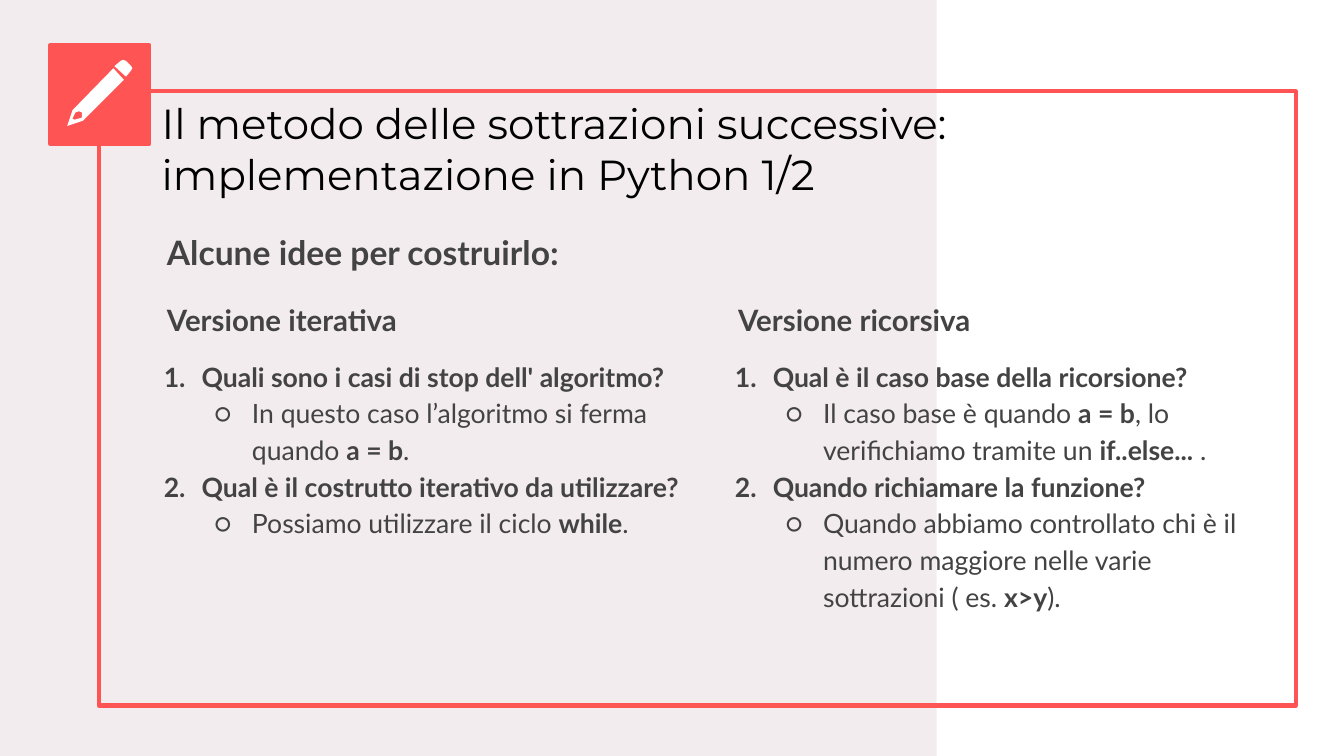
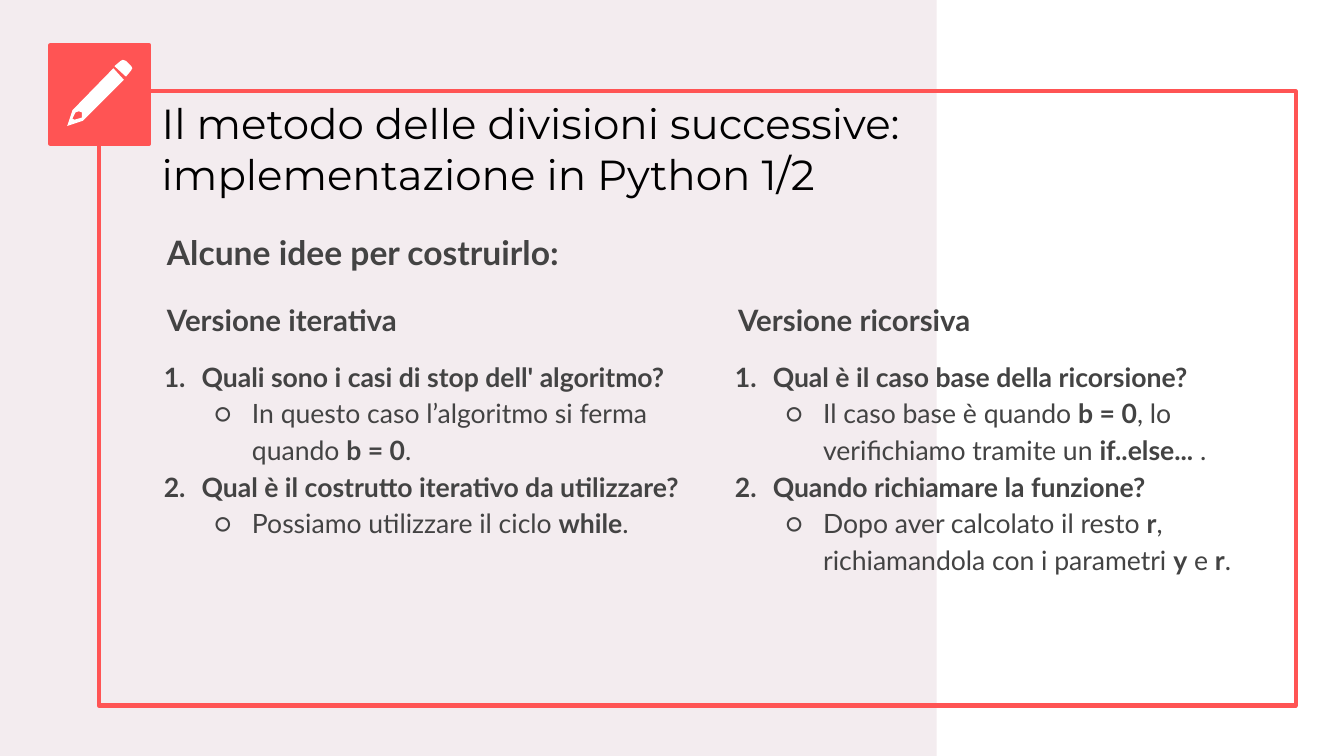
"""Build two slides on implementing the GCD methods in Python."""
from dataclasses import dataclass

from lxml import etree
from pptx import Presentation
from pptx import util as u
from pptx.dml.color import RGBColor
from pptx.enum import shapes, text
from pptx.oxml.ns import qn

PX = 9525


@dataclass(frozen=True)
class Theme:
    """Colours, fonts, type sizes and spacing shared by the slides."""

    white: str = "FFFFFF"
    panel: str = "F3ECEF"
    accent: str = "FF5454"
    title: str = "000000"
    body: str = "434343"
    title_font: str = "Montserrat"
    body_font: str = "Lato"
    title_pt: int = 30
    lead_pt: int = 24
    heading_pt: int = 21
    list_pt: int = 19
    line_pt: int = 3
    spacing: float = 1.15
    inset: int = 12


@dataclass(frozen=True)
class Box:
    """A rectangle in px."""

    x: int
    y: int
    w: int
    h: int

    def emu(self) -> list[int]:
        """Return left, top, width and height in EMU."""
        return [v * PX for v in (self.x, self.y, self.w, self.h)]


@dataclass(frozen=True)
class Step:
    """A numbered question and its answer, with bold parts between asterisks."""

    question: str
    answer: str


@dataclass(frozen=True)
class Column:
    """A headed list of steps."""

    heading: str
    steps: tuple[Step, ...]


@dataclass(frozen=True)
class Method:
    """The content of one slide."""

    title: str
    columns: tuple[Column, Column]


THEME = Theme()
PANEL = Box(0, 0, 892, 720)
FRAME = Box(94, 87, 1140, 585)
BADGE = Box(48, 43, 94, 94)
TITLE = Box(142, 94, 832, 94)
LEAD = Box(147, 203, 792, 76)
HEADING = Box(147, 271, 516, 76)
STEPS = Box(132, 327, 546, 322)
COLUMN_PITCH = 544
MARGINS = (48, 96)
HANGING = -36

PENCIL_BODY = [(108, 65), (69, 105), (64, 120), (79, 115), (118, 76)]
PENCIL_TIP = [(75, 106), (78, 107), (78, 112), (71, 114), (69, 113), (72, 107)]
PENCIL_CAP = [(117, 57), (115, 58), (109, 63), (120, 73),
              (125, 67), (126, 65), (125, 63), (120, 58)]


def method(name: str, stop: str, recursion: str) -> Method:
    """Describe a method by its name, stop condition and recursive call."""
    return Method(
        f"Il metodo delle {name} successive: implementazione in Python 1/2",
        (
            Column("Versione iterativa", (
                Step("Quali sono i casi di stop dell' algoritmo?",
                     f"In questo caso l’algoritmo si ferma quando *{stop}*."),
                Step("Qual è il costrutto iterativo da utilizzare?",
                     "Possiamo utilizzare il ciclo *while*."),
            )),
            Column("Versione ricorsiva", (
                Step("Qual è il caso base della ricorsione?",
                     f"Il caso base è quando *{stop}*, lo verifichiamo "
                     "tramite un *if..else...* ."),
                Step("Quando richiamare la funzione?", recursion),
            )),
        ),
    )


METHODS = (
    method("sottrazioni", "a = b",
           "Quando abbiamo controllato chi è il numero maggiore "
           "nelle varie sottrazioni ( es. *x>y*)."),
    method("divisioni", "b = 0",
           "Dopo aver calcolato il resto *r*, "
           "richiamandola con i parametri *y* e *r*."),
)


def paint(sp, fill: str | None = None, line: str | None = None) -> None:
    """Set the fill and line of a shape and remove its shadow."""
    sp.shadow.inherit = False
    if fill:
        sp.fill.solid()
        sp.fill.fore_color.rgb = RGBColor.from_string(fill)
    else:
        sp.fill.background()
    if line:
        sp.line.color.rgb = RGBColor.from_string(line)
        sp.line.width = u.Pt(THEME.line_pt)
    else:
        sp.line.fill.background()


def add_rect(slide, box: Box, fill: str | None = None,
             line: str | None = None) -> None:
    """Draw a rectangle."""
    sp = slide.shapes.add_shape(shapes.MSO_SHAPE.RECTANGLE, *box.emu())
    paint(sp, fill, line)


def add_pencil(slide) -> None:
    """Draw the pencil icon as one group."""
    group = slide.shapes.add_group_shape()
    for contours in ((PENCIL_BODY, PENCIL_TIP), (PENCIL_CAP,)):
        first, *rest = contours
        builder = group.shapes.build_freeform(*first[0], scale=PX)
        builder.add_line_segments(first[1:], close=True)
        for points in rest:
            builder.move_to(*points[0])
            builder.add_line_segments(points[1:], close=True)
        paint(builder.convert_to_shape(), THEME.white)


def style(r, font: str, size: int, color: str, bold: bool) -> None:
    """Format a run."""
    r.font.name = font
    r.font.size = u.Pt(size)
    r.font.bold = bold
    r.font.color.rgb = RGBColor.from_string(color)


def add_frame(slide, box: Box):
    """Add a wrapping text box and return its text frame."""
    tf = slide.shapes.add_textbox(*box.emu()).text_frame
    tf.word_wrap = True
    tf.margin_left = tf.margin_right = THEME.inset * PX
    tf.margin_top = tf.margin_bottom = THEME.inset * PX
    return tf


def add_title(slide, words: str) -> None:
    """Add the slide title."""
    tf = add_frame(slide, TITLE)
    tf.vertical_anchor = text.MSO_ANCHOR.MIDDLE
    tf.text = words
    style(tf.paragraphs[0].runs[0], THEME.title_font, THEME.title_pt,
          THEME.title, False)


def add_heading(slide, box: Box, words: str, size: int) -> None:
    """Add a bold line of body text."""
    tf = add_frame(slide, box)
    tf.text = words
    p = tf.paragraphs[0]
    p.line_spacing = THEME.spacing
    style(p.runs[0], THEME.body_font, size, THEME.body, True)


def set_bullet(p, level: int) -> None:
    """Number a question or mark an answer with a ring."""
    p.level = level
    p.line_spacing = THEME.spacing
    ppr = p._p.get_or_add_pPr()
    ppr.set("marL", str(MARGINS[level] * PX))
    ppr.set("indent", str(HANGING * PX))
    etree.SubElement(ppr, qn("a:buFont")).set("typeface", THEME.body_font)
    if level:
        etree.SubElement(ppr, qn("a:buChar")).set("char", "○")
    else:
        etree.SubElement(ppr, qn("a:buAutoNum")).set("type", "arabicPeriod")


def add_steps(slide, box: Box, steps: tuple[Step, ...]) -> None:
    """Add the numbered questions with their answers."""
    tf = add_frame(slide, box)
    lines = [line for step in steps
             for line in ((0, f"*{step.question}*"), (1, step.answer))]
    for i, (level, words) in enumerate(lines):
        p = tf.add_paragraph() if i else tf.paragraphs[0]
        set_bullet(p, level)
        for j, part in enumerate(words.split("*")):
            if part:
                r = p.add_run()
                r.text = part
                style(r, THEME.body_font, THEME.list_pt, THEME.body,
                      j % 2 == 1)


def shifted(box: Box, index: int) -> Box:
    """Move a box to the column with the given index."""
    return Box(box.x + index * COLUMN_PITCH, box.y, box.w, box.h)


def add_method(prs, item: Method) -> None:
    """Add one complete slide."""
    slide = prs.slides.add_slide(prs.slide_layouts[6])
    add_rect(slide, PANEL, fill=THEME.panel)
    add_rect(slide, FRAME, line=THEME.accent)
    add_rect(slide, BADGE, THEME.accent, THEME.accent)
    add_pencil(slide)
    add_title(slide, item.title)
    add_heading(slide, LEAD, "Alcune idee per costruirlo:", THEME.lead_pt)
    for i, column in enumerate(item.columns):
        add_heading(slide, shifted(HEADING, i), column.heading,
                    THEME.heading_pt)
        add_steps(slide, shifted(STEPS, i), column.steps)


def main() -> None:
    """Build and save the presentation."""
    prs = Presentation()
    prs.slide_width, prs.slide_height = 1280 * PX, 720 * PX
    for item in METHODS:
        add_method(prs, item)
    prs.save("out.pptx")


if __name__ == "__main__":
    main()
